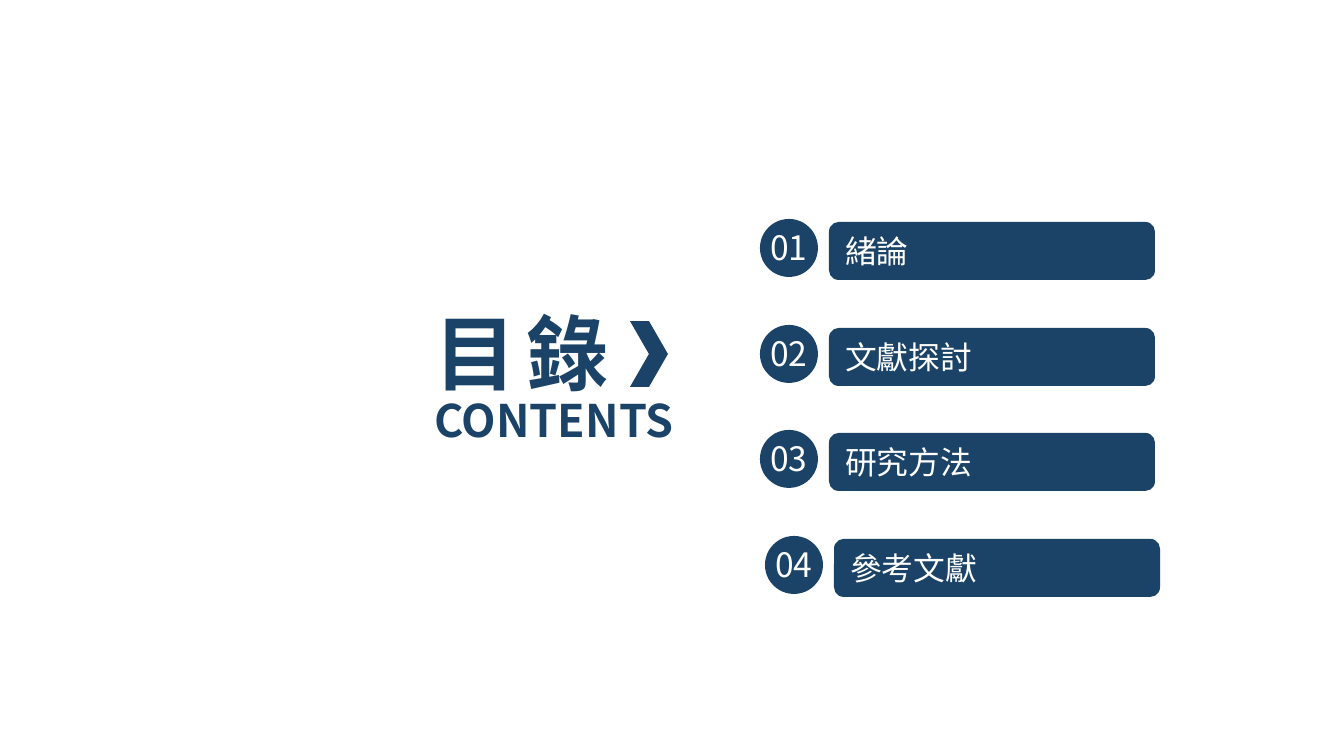
from lxml import etree
from pptx import Presentation
from pptx.dml.color import RGBColor
from pptx.enum.shapes import MSO_SHAPE
from pptx.enum.text import MSO_ANCHOR, MSO_AUTO_SIZE, PP_ALIGN
from pptx.oxml.ns import qn
from pptx.util import Emu, Pt

ROUND_RECT, ELLIPSE, CHEVRON = (
    MSO_SHAPE.ROUNDED_RECTANGLE, MSO_SHAPE.OVAL, MSO_SHAPE.CHEVRON)
MIDDLE = MSO_ANCHOR.MIDDLE
NO_AUTOFIT = MSO_AUTO_SIZE.NONE
LEFT, CENTER = PP_ALIGN.LEFT, PP_ALIGN.CENTER

NAVY = RGBColor(0x1B, 0x43, 0x67)
WHITE = RGBColor(0xFF, 0xFF, 0xFF)
FONT = "Noto Sans CJK SC"

PX_PER_INCH = 134.4
TITLE_ONLY = 5

# Agenda rows: text and horizontal offset
ROWS = [("緒論", 0), ("文獻探討", 0), ("研究方法", 0), ("參考文獻", 5)]
ROW_TOP, ROW_PITCH = 219, 105.6


def px(n):
    return Emu(round(n * 914400 / PX_PER_INCH))


def box(left, top, width, height):
    return px(left), px(top), px(width), px(height)


def write(sp, text, size, color, align=LEFT, bold=False, spacing=None):
    tf = sp.text_frame
    tf.auto_size = NO_AUTOFIT
    tf.word_wrap = True
    tf.vertical_anchor = MIDDLE
    p = tf.paragraphs[0]
    p.alignment = align
    r = p.add_run()
    r.text = text
    r.font.size = Pt(size)
    r.font.bold = bold
    r.font.color.rgb = color
    r.font.name = FONT
    # East Asian typeface and letter spacing
    rpr = r._r.get_or_add_rPr()
    etree.SubElement(rpr, qn("a:ea")).set("typeface", FONT)
    if spacing is not None:
        rpr.set("spc", str(round(spacing * 100)))


def add_filled(shapes, kind, bounds):
    sp = shapes.add_shape(kind, *bounds)
    sp.shadow.inherit = False
    sp.fill.solid()
    sp.fill.fore_color.rgb = NAVY
    sp.line.fill.background()
    return sp


def add_label(shapes, bounds, text, size, color, **style):
    write(shapes.add_textbox(*bounds), text, size, color, **style)


def add_heading(slide):
    title = slide.shapes.title
    title.left, title.top, title.width, title.height = box(421, 295, 316, 113)
    write(title, "目 錄", 44, NAVY, bold=True, spacing=-2.2)
    add_label(slide.shapes, box(421, 386, 310, 67), "CONTENTS", 24, NAVY,
              bold=True)
    add_filled(slide.shapes, CHEVRON, box(630, 321, 38, 66))


def add_row(slide, number, text, top, shift):
    # Bar with the section name
    bar = add_filled(slide.shapes, ROUND_RECT,
                     box(829 + shift, top + 3, 326, 58))
    write(bar, text, 17, WHITE)
    # Numbered badge
    badge = slide.shapes.add_group_shape().shapes
    add_filled(badge, ELLIPSE, box(760 + shift, top, 58, 58))
    add_label(badge, box(754 + shift, top + 1, 70, 54), f"{number:02d}", 18,
              WHITE, align=CENTER)


def main():
    prs = Presentation()
    prs.slide_width, prs.slide_height = px(1344), px(756)
    slide = prs.slides.add_slide(prs.slide_layouts[TITLE_ONLY])
    slide.background.fill.solid()
    slide.background.fill.fore_color.rgb = WHITE

    add_heading(slide)
    for i, (text, shift) in enumerate(ROWS):
        add_row(slide, i + 1, text, round(ROW_TOP + i * ROW_PITCH), shift)

    prs.save("out.pptx")


if __name__ == "__main__":
    main()
